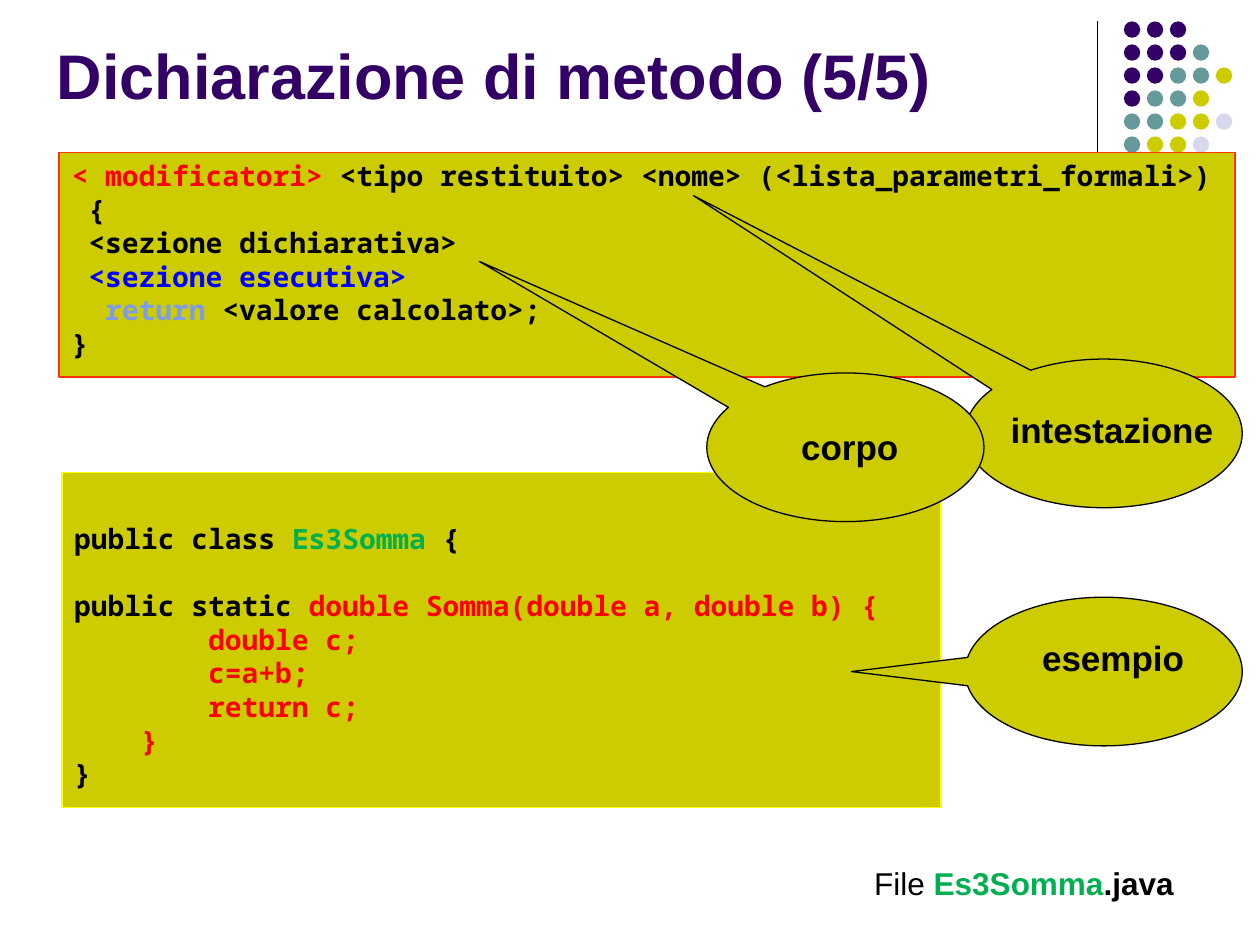
from lxml import etree
from pptx import Presentation
from pptx.dml.color import RGBColor
from pptx.enum.shapes import MSO_CONNECTOR, MSO_SHAPE
from pptx.enum.text import MSO_ANCHOR, PP_ALIGN
from pptx.oxml.ns import qn
from pptx.util import Inches, Pt

RECTANGLE, ELLIPSE = MSO_SHAPE.RECTANGLE, MSO_SHAPE.OVAL
CALLOUT = MSO_SHAPE.OVAL_CALLOUT
LEFT, CENTER = PP_ALIGN.LEFT, PP_ALIGN.CENTER
TOP, BOTTOM = MSO_ANCHOR.TOP, MSO_ANCHOR.BOTTOM

THEME = {
    "purple": "330066", "teal": "669999", "olive": "CCCC00", "lilac": "D8D8EC",
    "black": "000000", "red": "FF0000", "orange": "FF3300", "yellow": "FFFF00",
    "green": "00B050", "blue": "0000FF", "pale blue": "7E9CE8",
    "text font": "Arial", "code font": "Noto Sans Mono",
    "title size": 36, "label size": 20, "file size": 18, "code size": 16,
    "code pitch": 19.2,
}

# Content: a paragraph is a list of (text, colour) runs
TITLE = "Dichiarazione di metodo (5/5)"
SYNTAX = [
    [("< modificatori> ", "red"),
     ("<tipo restituito> <nome> (<lista_parametri_formali>)", "black")],
    [(" {", "black")],
    [(" <sezione dichiarativa>", "black")],
    [(" <sezione esecutiva>", "blue")],
    [("  return", "pale blue"), (" <valore calcolato>;", "black")],
    [("}", "black")],
]
EXAMPLE = [
    [("public class ", "black"), ("Es3Somma ", "green"), ("{", "black")],
    [("public static ", "black"), ("double Somma(double a, double b) {", "red")],
    [("        double c;", "red")],
    [("        c=a+b;", "red")],
    [("        return c;", "red")],
    [("    }", "red")],
    [("}", "black")],
]
# Code boxes: place, outline, top inset, paragraphs, indexes after a gap
CODE_BOXES = [
    ((0.47, 1.21, 9.33, 1.78), "orange", 0.05, SYNTAX, ()),
    ((0.49, 3.75, 6.98, 2.66), "yellow", 0.39, EXAMPLE, (1,)),
]
# Callouts: left, top, pointer offsets, label, label place
CALLOUT_SIZE = (2.2, 1.18)
CALLOUTS = [
    (7.66, 2.85, (-1.48, -1.6), "intestazione", (7.92, 3.19, 1.81, 0.43)),
    (5.61, 2.96, (-1.32, -1.25), "corpo", (6.26, 3.33, 0.97, 0.43)),
    (7.66, 4.74, (-0.91, 0), "esempio", (8.17, 5, 1.33, 0.43)),
]
DOT_ROWS = ["PPP", "PPPT", "PPTTO", "PTTO", "TTOOL", "TOOL"]
DOT_COLORS = {"P": "purple", "T": "teal", "O": "olive", "L": "lilac"}
DOT_LEFT, DOT_TOP, DOT_SIZE, DOT_PITCH = 8.92, 0.17, 0.13, 0.73 / 4


def color(name):
    return RGBColor.from_string(THEME[name])


def write(frame, paragraphs, font="text font", size="label size", bold=True,
          align=LEFT, anchor=TOP, wrap=True, top=0.05, pitch=None, gaps=()):
    frame.word_wrap = wrap
    frame.vertical_anchor = anchor
    frame.margin_left = frame.margin_right = Inches(0.1)
    frame.margin_top, frame.margin_bottom = Inches(top), Inches(0.05)
    for index, runs in enumerate(paragraphs):
        paragraph = frame.add_paragraph() if index else frame.paragraphs[0]
        paragraph.alignment = align
        if pitch:
            paragraph.line_spacing = Pt(pitch)
        if index in gaps:
            paragraph.space_before = Pt(pitch)
        for text, color_name, *run_bold in runs:
            run = paragraph.add_run()
            run.text = text
            run.font.name = THEME[font]
            run.font.size = Pt(THEME[size])
            run.font.bold = run_bold[0] if run_bold else bold
            run.font.color.rgb = color(color_name)


def add_shape(slide, kind, place, fill, line=None, width=0.75):
    shape = slide.shapes.add_shape(kind, *map(Inches, place))
    shape.shadow.inherit = False
    shape.fill.solid()
    shape.fill.fore_color.rgb = color(fill)
    if line:
        shape.line.color.rgb = color(line)
        shape.line.width = Pt(width)
    else:
        shape.line.fill.background()
    return shape


def add_text(slide, place, paragraphs, **text_format):
    box = slide.shapes.add_textbox(*map(Inches, place))
    write(box.text_frame, paragraphs, **text_format)


def add_decoration(slide):
    rule = slide.shapes.add_connector(
        MSO_CONNECTOR.STRAIGHT, *map(Inches, (8.71, 0.17, 8.71, 1.83)))
    rule.line.color.rgb = color("black")
    rule.line.width = Pt(0.75)
    etree.SubElement(rule._element.spPr, qn("a:effectLst"))
    for row, letters in enumerate(DOT_ROWS):
        for column, letter in enumerate(letters):
            place = (DOT_LEFT + column * DOT_PITCH, DOT_TOP + row * DOT_PITCH,
                     DOT_SIZE, DOT_SIZE)
            add_shape(slide, ELLIPSE, place, DOT_COLORS[letter])


def main():
    presentation = Presentation()
    presentation.slide_width, presentation.slide_height = Inches(10), Inches(7.5)
    slide = presentation.slides.add_slide(presentation.slide_layouts[5])

    add_decoration(slide)

    # Title
    title = slide.shapes.title
    title.left, title.top, title.width, title.height = map(
        Inches, (0.35, -0.31, 9, 1.25))
    write(title.text_frame, [[(TITLE, "purple")]], size="title size", anchor=BOTTOM)

    # Code boxes
    for place, outline, top, paragraphs, gaps in CODE_BOXES:
        box = add_shape(slide, RECTANGLE, place, "olive", outline, width=1)
        write(box.text_frame, paragraphs, font="code font", size="code size",
              top=top, pitch=THEME["code pitch"], gaps=gaps)

    # Callouts and their labels
    for left, top, pointer, label, label_place in CALLOUTS:
        callout = add_shape(slide, CALLOUT, (left, top, *CALLOUT_SIZE),
                            "olive", "black")
        callout.adjustments[0], callout.adjustments[1] = pointer
        add_text(slide, label_place, [[(label, "black")]], align=CENTER, wrap=False)

    # File name
    add_text(slide, (6.84, 6.81, 2.67, 0.4),
             [[("File ", "black", False), ("Es3Somma", "green"), (".java", "black")]],
             size="file size")

    presentation.save("out.pptx")


if __name__ == "__main__":
    main()
